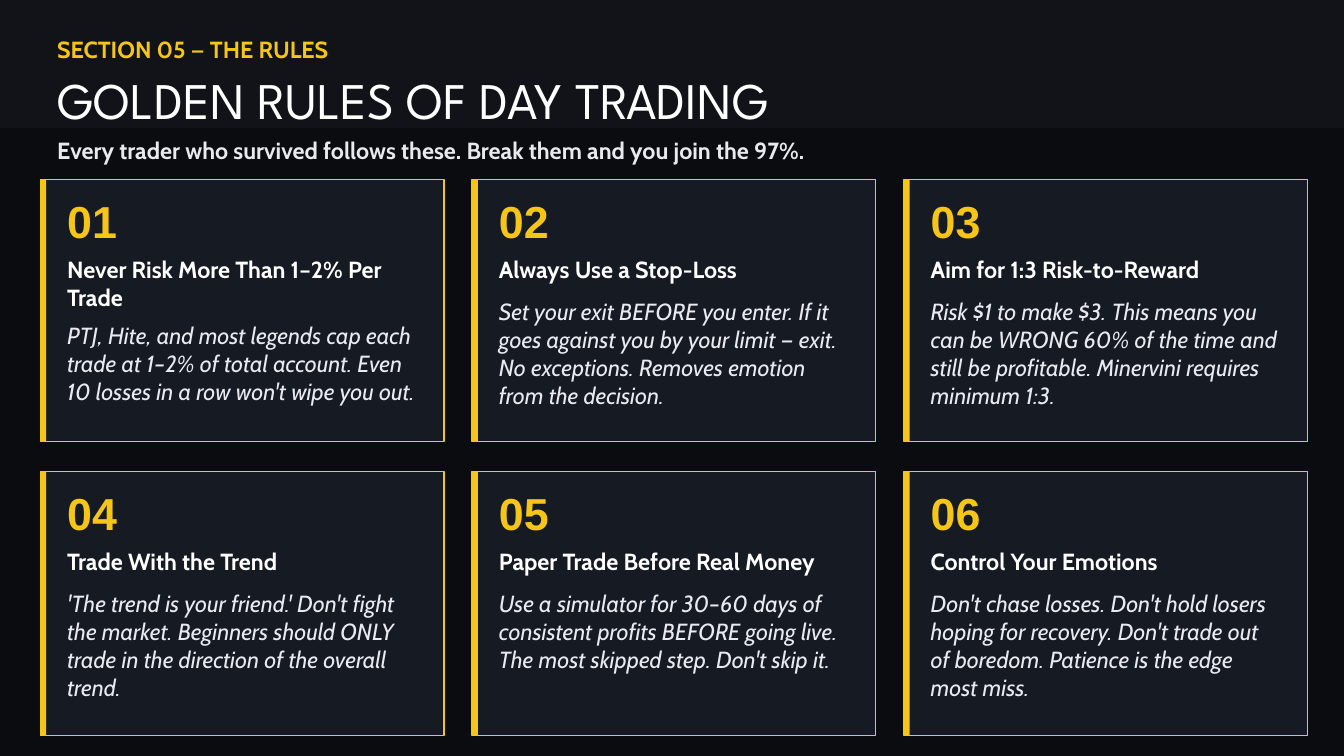
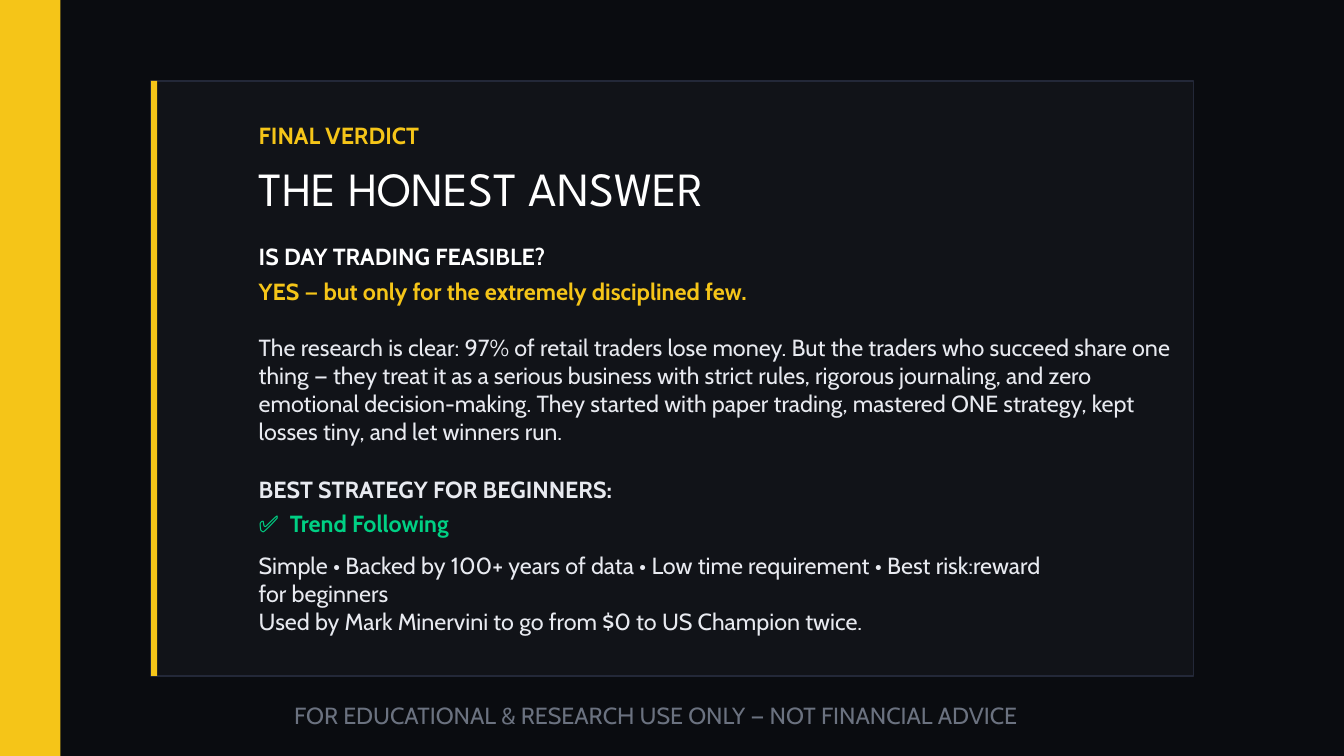
from pptx import Presentation
from pptx.dml.color import RGBColor
from pptx.enum.shapes import MSO_SHAPE
from pptx.enum.text import PP_ALIGN
from pptx.util import Pt
from lxml import etree

RECT = MSO_SHAPE.RECTANGLE
LEFT, CENTER = PP_ALIGN.LEFT, PP_ALIGN.CENTER
NS = "http://schemas.openxmlformats.org/drawingml/2006/main"

NIGHT = RGBColor(0x0A, 0x0C, 0x10)
PANEL = RGBColor(0x11, 0x13, 0x18)
CARD = RGBColor(0x16, 0x1A, 0x22)
EDGE = RGBColor(0x23, 0x28, 0x38)
GOLD = RGBColor(0xF5, 0xC5, 0x18)
WHITE = RGBColor(0xFF, 0xFF, 0xFF)
PALE = RGBColor(0xE8, 0xEA, 0xF0)
GREEN = RGBColor(0x00, 0xD0, 0x84)
GREY = RGBColor(0x6B, 0x72, 0x80)

BODY, TITLE, DIGIT = "Cabin", "League Spartan", "Arial"
WIDE, HIGH = 1440, 810
SIZE, LEAD = 25, 1.2
STRIP = 6.3

RULES = [
    ("Never Risk More Than 1–2% Per Trade", 2,
     "PTJ, Hite, and most legends cap each trade at 1–2% of total account. "
     "Even 10 losses in a row won't wipe you out."),
    ("Always Use a Stop-Loss", 1,
     "Set your exit BEFORE you enter. If it goes against you by your limit — exit. "
     "No exceptions. Removes emotion from the decision."),
    ("Aim for 1:3 Risk-to-Reward", 1,
     "Risk $1 to make $3. This means you can be WRONG 60% of the time and still "
     "be profitable. Minervini requires minimum 1:3."),
    ("Trade With the Trend", 1,
     "'The trend is your friend.' Don't fight the market. Beginners should ONLY "
     "trade in the direction of the overall trend."),
    ("Paper Trade Before Real Money", 1,
     "Use a simulator for 30–60 days of consistent profits BEFORE going live. "
     "The most skipped step. Don't skip it."),
    ("Control Your Emotions", 1,
     "Don't chase losses. Don't hold losers hoping for recovery. Don't trade out "
     "of boredom. Patience is the edge most miss."),
]
ROWS = [(192.2, 281), (505.2, 283)]
COLS, FIRST, PITCH, SPAN = 3, 43.2, 462.6, 432.4

VERDICT = [
    (259.2, 958, 33, ["IS DAY TRADING FEASIBLE?"], WHITE, True),
    (297.4, 958, 33, ["YES — but only for the extremely disciplined few."], GOLD, True),
    (356.6, 990, 121,
     ["The research is clear: 97% of retail traders lose money. But the traders who "
      "succeed share one thing — they treat it as a serious business with strict rules, "
      "rigorous journaling, and zero emotional decision-making. They started with paper "
      "trading, mastered ONE strategy, kept losses tiny, and let winners run."], PALE, False),
    (509.5, 526, 33, ["BEST STRATEGY FOR BEGINNERS:"], PALE, True),
    (545.8, 526, 33, ["✅\tTrend Following"], GREEN, True),
    (590.4, 850, 91,
     ["Simple • Backed by 100+ years of data • Low time requirement • "
      "Best risk:reward for beginners",
      "Used by Mark Minervini to go from $0 to US Champion twice."], PALE, False),
]


def block(slide, x, y, w, h, fill, line=None):
    shape = slide.shapes.add_shape(RECT, Pt(x), Pt(y), Pt(w), Pt(h))
    shape.shadow.inherit = False
    shape.fill.solid()
    shape.fill.fore_color.rgb = fill
    if line is None:
        shape.line.fill.background()
    else:
        shape.line.color.rgb = line
        shape.line.width = Pt(1.5)


def panel(slide, x, y, w, h, fill, line):
    block(slide, x, y, w, h, fill, line)
    block(slide, x, y, STRIP, h, GOLD)


def add_tab(para, pos):
    tabs = etree.SubElement(para._p.get_or_add_pPr(), f"{{{NS}}}tabLst")
    etree.SubElement(tabs, f"{{{NS}}}tab", pos=str(Pt(pos)), algn="l")


def write(slide, x, y, w, h, lines, color, bold=False, italic=False,
          size=SIZE, face=BODY, align=LEFT):
    frame = slide.shapes.add_textbox(Pt(x), Pt(y), Pt(w), Pt(h)).text_frame
    frame.word_wrap = True
    frame.margin_left = frame.margin_right = 0
    frame.margin_top = frame.margin_bottom = 0
    for num, line in enumerate(lines):
        para = frame.add_paragraph() if num else frame.paragraphs[0]
        if "\t" in line:
            add_tab(para, 33.5)
        para.alignment = align
        para.line_spacing = Pt(size * LEAD)
        run = para.add_run()
        run.text = line
        font = run.font
        font.name, font.size = face, Pt(size)
        font.bold, font.italic = bold, italic
        font.color.rgb = color


def heading(slide, x, y, label, title, gap, size):
    write(slide, x, y, 420, 33, [label], GOLD, bold=True)
    write(slide, x, y + gap, 990, size * LEAD, [title], WHITE, size=size, face=TITLE)


def new_slide(deck):
    slide = deck.slides.add_slide(deck.slide_layouts[6])
    fill = slide.background.fill
    fill.solid()
    fill.fore_color.rgb = NIGHT
    return slide


def rules(deck):
    slide = new_slide(deck)
    block(slide, 0, 0, WIDE, 137, PANEL)
    heading(slide, 61.2, 37.4, "SECTION 05 — THE RULES", "GOLDEN RULES OF DAY TRADING", 36, 55)
    write(slide, 61.2, 145.4, 958, 33,
          ["Every trader who survived follows these. Break them and you join the 97%."],
          PALE, bold=True)
    for num, (name, count, text) in enumerate(RULES):
        row, col = divmod(num, COLS)
        top, tall = ROWS[row]
        left = FIRST + col * PITCH
        inner = left + 28.8
        panel(slide, left, top, SPAN, tall, CARD, GOLD)
        write(slide, inner, top + 15, 115, 65, [f"{num + 1:02}"], GOLD,
              bold=True, size=48, face=DIGIT)
        write(slide, inner, top + 80.8, 374.4, 33 + 29 * (count - 1), [name], WHITE, bold=True)
        write(slide, inner, top + 126 + 26 * (count - 1), 374.4, 121, [text], PALE, italic=True)


def verdict(deck):
    slide = new_slide(deck)
    block(slide, 0, 0, 64.8, HIGH, GOLD)
    panel(slide, 162, 86.6, 1116.7, 637.7, PANEL, EDGE)
    heading(slide, 277.2, 129.6, "FINAL VERDICT", "THE HONEST ANSWER", 41, 51)
    for top, wide, tall, lines, color, bold in VERDICT:
        write(slide, 277.2, top, wide, tall, lines, color, bold)
    write(slide, 169.2, 751, 1066.3, 33,
          ["FOR EDUCATIONAL & RESEARCH USE ONLY — NOT FINANCIAL ADVICE"], GREY, align=CENTER)


def main():
    deck = Presentation()
    deck.slide_width, deck.slide_height = Pt(WIDE), Pt(HIGH)
    rules(deck)
    verdict(deck)
    deck.save("out.pptx")


if __name__ == "__main__":
    main()
